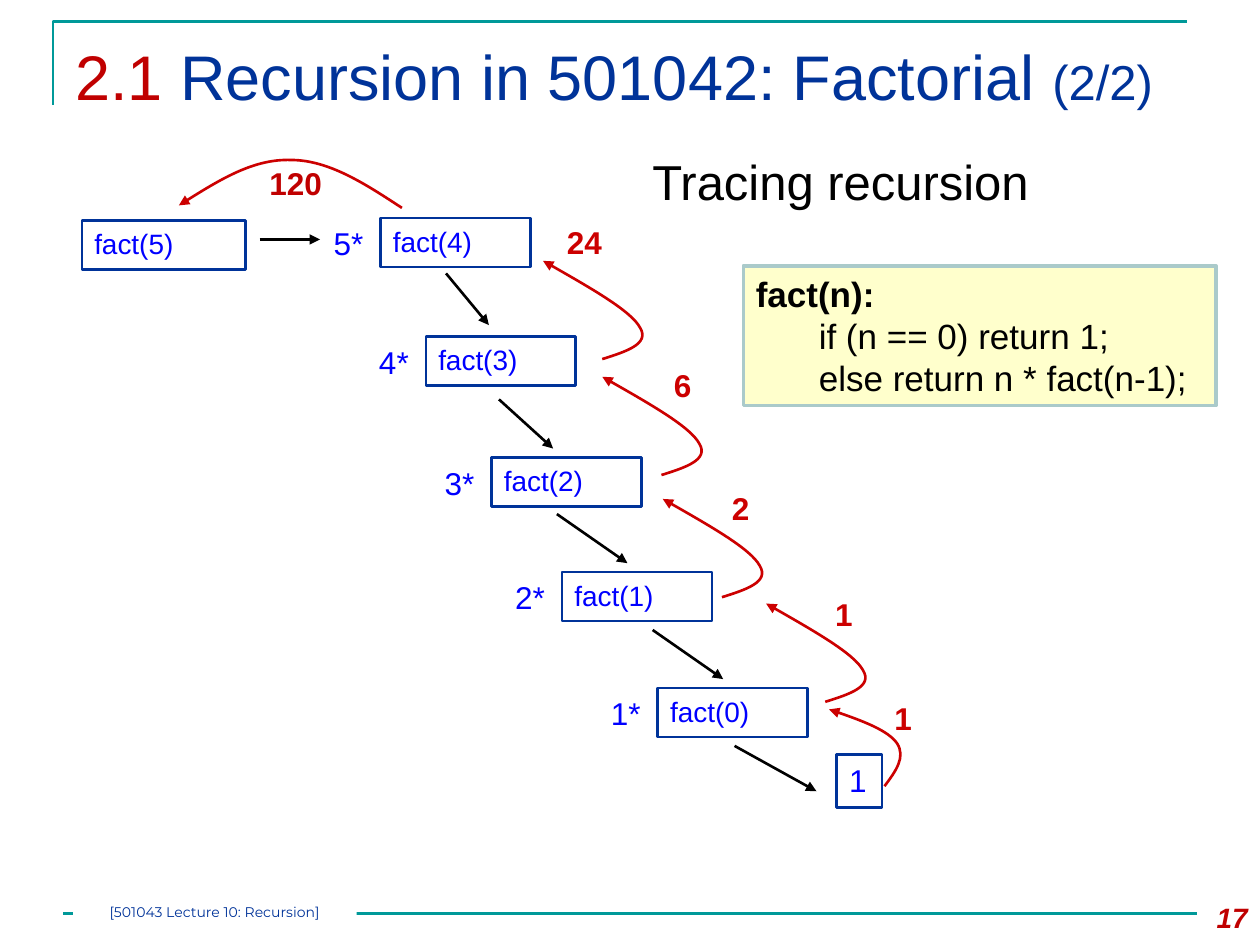
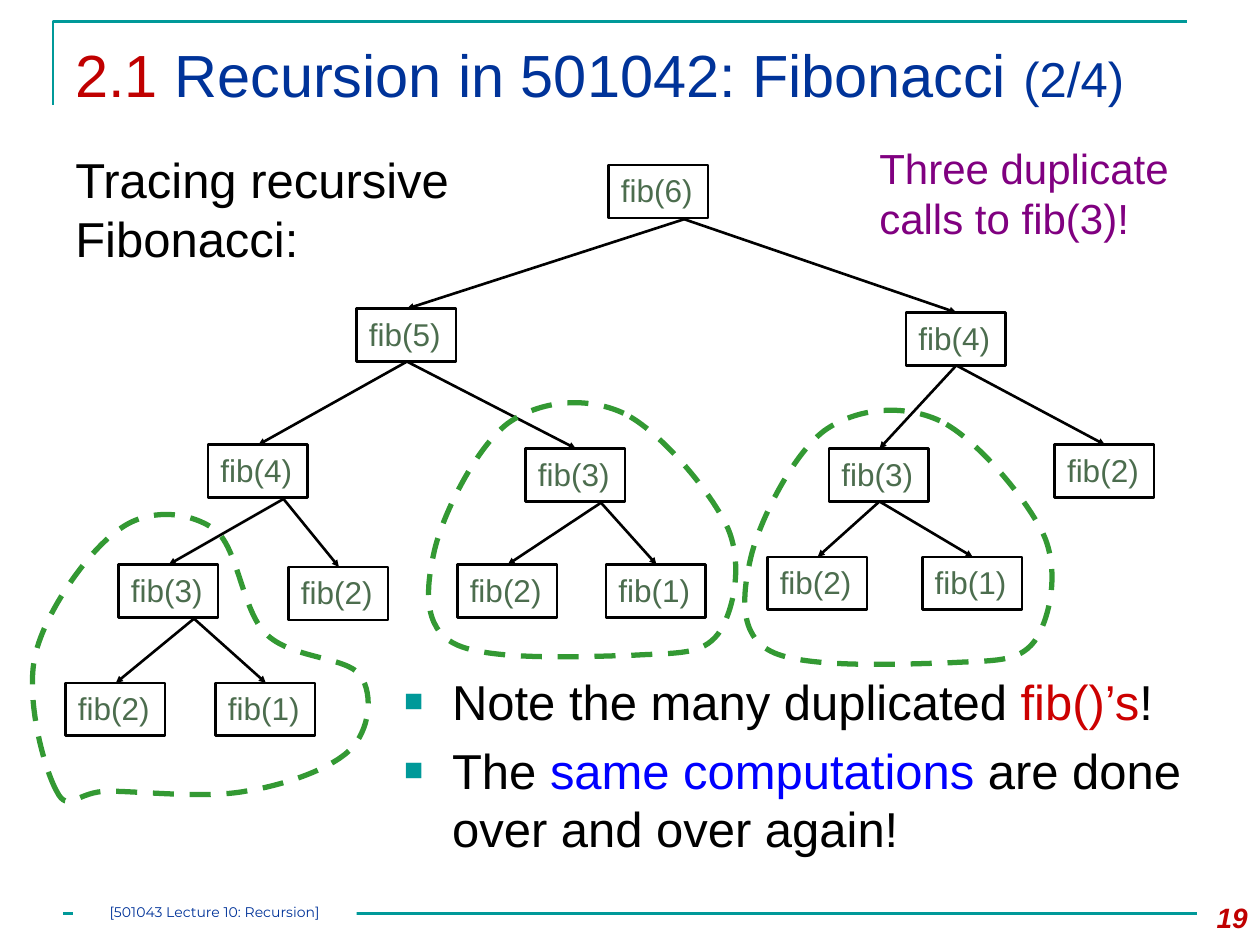
from lxml import etree
from pptx import Presentation
from pptx.dml.color import RGBColor
from pptx.enum.dml import MSO_LINE
from pptx.enum.shapes import MSO_CONNECTOR, MSO_SHAPE
from pptx.enum.text import MSO_AUTO_SIZE, PP_ALIGN
from pptx.oxml.ns import qn
from pptx.util import Pt

RECTANGLE = MSO_SHAPE.RECTANGLE
STRAIGHT = MSO_CONNECTOR.STRAIGHT
DASH = MSO_LINE.DASH
GROW = MSO_AUTO_SIZE.SHAPE_TO_FIT_TEXT
LEFT, CENTER, RIGHT = PP_ALIGN.LEFT, PP_ALIGN.CENTER, PP_ALIGN.RIGHT

EMU_PER_PX = 9144
FONT, FOOTER_FONT = "Arial", "Montserrat"
TEAL, NAVY, DARK_RED, RED = "009999", "003399", "C00000", "CC0000"
BLACK, WHITE, BLUE, PURPLE = "000000", "FFFFFF", "0000FF", "800080"
MOSS, GREEN, CREAM, PALE_TEAL = "4C6D4E", "339933", "FFFFCC", "AACACA"
FOOTER = "[501043 Lecture 10: Recursion]"

FACT_WIDTH, FACT_HEIGHT = 119, 39
FIB_WIDTH, FIB_HEIGHT = 79, 42

FACT_CALLS = [
    ("fact(4)", "5*", 302, 173, (206, 190), (254, 190)),
    ("fact(3)", "4*", 338, 267, (354, 217), (388, 258)),
    ("fact(2)", "3*", 390, 363, (396, 317), (439, 356)),
    ("fact(1)", "2*", 446, 454, (442, 408), (498, 447)),
    ("fact(0)", "1*", 522, 546, (518, 500), (574, 539)),
]
RETURN_CURVE = [(47, 78), (66, 72), (85, 66), (77, 53), (70, 40), (35, 20), (0, 0)]
RETURNS = [
    ("24", 431, 207, (440, 172, 48, 40)),
    ("6", 478, 299, (525, 286, 34, 40)),
    ("2", 526, 396, (571, 383, 34, 40)),
    ("1", 608, 479, (653, 467, 34, 40)),
]
BASE_RETURN = [(702, 624), (711, 612), (719, 601), (712, 590),
               (705, 580), (682, 571), (658, 563)]
FINAL_RETURN = [(319, 165), (290, 146), (261, 127), (231, 127),
                (202, 126), (172, 144), (142, 163)]

FIB_TREE = (6, 483, 131, 20, [
    (5, 283, 245, 0, [
        (4, 165, 353, 20, [
            (3, 94, 448, 20, [(2, 52, 542, 0, []), (1, 171, 542, 0, [])]),
            (2, 229, 450, 0, []),
        ]),
        (3, 417, 356, 20, [(2, 363, 448, 0, []), (1, 481, 448, 0, [])]),
    ]),
    (4, 719, 248, 0, [
        (3, 658, 356, 0, [(2, 609, 442, 0, []), (1, 732, 442, 0, [])]),
        (2, 837, 353, 0, []),
    ]),
])
LEFT_LOOP = [
    (45, 628), (35, 610), (20, 555), (28, 520), (36, 485), (71, 436), (95, 420),
    (118, 403), (150, 406), (170, 420), (189, 434), (192, 484), (211, 503),
    (231, 523), (275, 521), (286, 536), (297, 552), (293, 580), (278, 595),
    (263, 610), (227, 623), (195, 628), (163, 634), (111, 628), (86, 628),
    (61, 628), (54, 646), (45, 628),
]
RIGHT_LOOP = [
    (160, 14), (130, 0), (93, 4), (68, 22), (43, 41), (17, 93), (10, 122),
    (3, 152), (0, 184), (26, 197), (53, 211), (133, 207), (168, 206),
    (203, 204), (222, 206), (235, 189), (247, 172), (255, 135), (243, 106),
    (230, 77), (189, 28), (160, 14),
]
RIGHT_LOOP_ORIGINS = [(335, 314), (586, 320)]


def rgb(code):
    """Turn a hex string into a colour."""
    return RGBColor.from_string(code)


def px(*lengths):
    """Turn pixel lengths into EMU."""
    return [length * EMU_PER_PX for length in lengths]


def moved(points, x, y):
    """Shift points by an offset."""
    return [(x + dx, y + dy) for dx, dy in points]


class Deck:
    """Hold the lecture style and the slide being drawn."""

    def __init__(self):
        """Start an empty presentation."""
        self.presentation = Presentation()
        self.presentation.slide_width, self.presentation.slide_height = px(1000, 750)
        self.shapes = None

    def new_slide(self, title_runs, number, title_height):
        """Add a slide with frame, footer, title and page number."""
        blank = self.presentation.slide_layouts[6]
        self.shapes = self.presentation.slides.add_slide(blank).shapes
        self.outline([(42, 83), (42, 17), (942, 17)], TEAL)
        self.line((50, 725), (950, 725), TEAL)
        footer = self.box((58, 717, 225, 17), fill=WHITE)
        footer.text_frame.margin_left = footer.text_frame.margin_right = 0
        footer.text_frame.margin_top = footer.text_frame.margin_bottom = 0
        self.put_text(footer, [[(FOOTER, NAVY)]], 8, CENTER, font=FOOTER_FONT)
        self.text((50, 25, 933, title_height), [title_runs], 36)
        page = self.text((933, 710, 67, 40), [[(number, DARK_RED)]], 16, RIGHT, bold=True)
        page.text_frame.paragraphs[0].runs[0].font.italic = True

    def put_text(self, shape, paragraphs, size, align=LEFT, bold=False, font=FONT):
        """Fill a shape with paragraphs of (text, colour[, size]) runs."""
        frame = shape.text_frame
        for index, runs in enumerate(paragraphs):
            paragraph = frame.add_paragraph() if index else frame.paragraphs[0]
            paragraph.alignment = align
            for words, color, *own_size in runs:
                run = paragraph.add_run()
                run.text = words
                run.font.name = font
                run.font.size = Pt(own_size[0] if own_size else size)
                run.font.bold = bold
                run.font.color.rgb = rgb(color)
        return shape

    def text(self, place, paragraphs, size, align=LEFT, bold=False, wrap=True):
        """Add a text box."""
        label = self.shapes.add_textbox(*px(*place))
        label.text_frame.word_wrap = wrap
        if not wrap:
            label.text_frame.auto_size = GROW
        return self.put_text(label, paragraphs, size, align, bold)

    def box(self, place, line=None, fill=None, width=1.5, wrap=True):
        """Add a rectangle whose text starts at the top left."""
        rectangle = self.shapes.add_shape(RECTANGLE, *px(*place))
        self.paint(rectangle, line, fill, width)
        rectangle.text_frame.word_wrap = wrap
        rectangle.text_frame.vertical_anchor = None
        if not wrap:
            rectangle.text_frame.auto_size = GROW
        return rectangle

    def paint(self, shape, line, fill=None, width=1.5):
        """Set the fill and line of a shape and drop its shadow."""
        shape.shadow.inherit = False
        if fill:
            shape.fill.solid()
            shape.fill.fore_color.rgb = rgb(fill)
        else:
            shape.fill.background()
        if line:
            shape.line.color.rgb = rgb(line)
            shape.line.width = Pt(width)
        else:
            shape.line.fill.background()

    def arrowhead(self, shape, size):
        """Put a triangle at the end of a line."""
        outline = shape.element.spPr.find(qn("a:ln"))
        etree.SubElement(outline, qn("a:tailEnd"), type="triangle", w=size, len=size)

    def line(self, start, end, color=BLACK, head=None):
        """Add a straight line, with an arrowhead if a head size is given."""
        connector = self.shapes.add_connector(STRAIGHT, *px(*start, *end))
        connector.line.color.rgb = rgb(color)
        connector.line.width = Pt(1.5)
        etree.SubElement(connector.element.spPr, qn("a:effectLst"))
        if head:
            self.arrowhead(connector, head)

    def outline(self, points, color, width=1.5, closed=False):
        """Add an unfilled outline through the points."""
        builder = self.shapes.build_freeform(*points[0], scale=EMU_PER_PX)
        builder.add_line_segments(points[1:], close=closed)
        outline = builder.convert_to_shape()
        self.paint(outline, color, width=width)
        return outline

    def curve(self, points, color, width=1.5, closed=False):
        """Add an outline of cubic curves, three points to each curve."""
        curve = self.outline(points, color, width, closed)
        steps = list(curve.element.iter(qn("a:lnTo")))
        for first in range(0, len(points) - 1, 3):
            bend, *others = steps[first:first + 3]
            bend.tag = qn("a:cubicBezTo")
            for other in others:
                bend.append(other[0])
                other.getparent().remove(other)
        return curve

    def return_arrow(self, points, value, place, color=RED):
        """Add a curved arrow with the value it returns."""
        self.arrowhead(self.curve(points, RED), "med")
        self.text(place, [[(value, color)]], 18, bold=True, wrap=False)

    def loop(self, points):
        """Add a dashed loop around a repeated subtree."""
        self.curve(points, GREEN, 3, closed=True).line.dash_style = DASH

    def fact_box(self, call, x, y, width=FACT_WIDTH):
        """Add one factorial call."""
        place = (x, y, width, FACT_HEIGHT)
        self.put_text(self.box(place, NAVY), [[(call, BLUE)]], 16)

    def fib_node(self, node):
        """Add a Fibonacci call and, below it, the calls it makes."""
        n, x, y, shift, calls = node
        place = (x, y, FIB_WIDTH, FIB_HEIGHT)
        self.put_text(self.box(place, BLACK, wrap=False), [[(f"fib({n})", MOSS)]], 18)
        start = (x + FIB_WIDTH // 2 + 1 + shift, y + FIB_HEIGHT + shift // 20)
        for call in calls:
            self.line(start, (call[1] + FIB_WIDTH // 2 + 1, call[2]), head="sm")
            self.fib_node(call)

    def bullets(self, place, items, size):
        """Add a list with square bullets."""
        notes = self.text(place, items, size)
        for index, paragraph in enumerate(notes.text_frame.paragraphs):
            if index:
                paragraph.space_before = Pt(size * 0.2)
            properties = paragraph._p.get_or_add_pPr()
            indent = px(38)[0]
            properties.set("marL", str(indent))
            properties.set("indent", str(-indent))
            color = etree.SubElement(properties, qn("a:buClr"))
            etree.SubElement(color, qn("a:srgbClr"), val=TEAL)
            etree.SubElement(properties, qn("a:buSzPct"), val="65000")
            etree.SubElement(properties, qn("a:buFont"), typeface=FONT)
            etree.SubElement(properties, qn("a:buChar"), char="■")


def factorial_slide(deck):
    """Trace the calls and returns of fact(5)."""
    deck.new_slide([("2.1 ", DARK_RED), ("Recursion in 501042: Factorial ", NAVY),
                    ("(2/2)", NAVY, 28)], "17", 86)
    code = deck.box((590, 211, 375, 111), PALE_TEAL, CREAM, 2)
    deck.put_text(code, [[("fact(n):", BLACK)], [("if (n == 0) return 1;", BLACK)],
                         [("else return n * fact(n-1);", BLACK)]], 20)
    signature, *body = code.text_frame.paragraphs
    signature.runs[0].font.bold = True
    for statement in body:
        statement._p.get_or_add_pPr().set("marL", str(px(50)[0]))

    deck.fact_box("fact(5)", 65, 175, 130)
    for call, factor, x, y, start, end in FACT_CALLS:
        deck.fact_box(call, x, y)
        deck.text((x - 47, y, 44, 40), [[(factor, BLUE)]], 18, wrap=False)
        deck.line(start, end, head="med")
    base_case = deck.box((664, 599, 36, 42), NAVY, WHITE, wrap=False)
    deck.put_text(base_case, [[("1", BLUE)]], 18)
    deck.line((583, 592), (648, 628), head="med")

    deck.return_arrow(BASE_RETURN, "1", (700, 550, 34, 40))
    for value, x, y, place in RETURNS:
        deck.return_arrow(moved(RETURN_CURVE, x, y), value, place)
    deck.return_arrow(FINAL_RETURN, "120", (204, 125, 62, 40), DARK_RED)
    deck.text((508, 115, 350, 57), [[("Tracing recursion", BLACK)]], 28)


def fibonacci_slide(deck):
    """Show the call tree of fib(6) and its repeated parts."""
    deck.new_slide([("2.1 ", DARK_RED, 34), ("Recursion in 501042: Fibonacci ", NAVY, 34),
                    ("(2/4)", NAVY, 28)], "19", 75)
    deck.text((50, 114, 350, 104), [[("Tracing recursive Fibonacci:", BLACK)]], 28)
    deck.bullets((311, 528, 642, 167), [
        [("Note the many duplicated ", BLACK), ("fib()’s", RED), ("!", BLACK)],
        [("The ", BLACK), ("same computations ", BLUE),
         ("are done over and over again!", BLACK)],
    ], 28)
    deck.fib_node(FIB_TREE)
    deck.loop(LEFT_LOOP)
    for x, y in RIGHT_LOOP_ORIGINS:
        deck.loop(moved(RIGHT_LOOP, x, y))
    deck.text((688, 108, 262, 91), [[("Three duplicate", PURPLE)],
                                    [("calls to fib(3)!", PURPLE)]], 24, wrap=False)


def main():
    """Build and save the slides."""
    deck = Deck()
    factorial_slide(deck)
    fibonacci_slide(deck)
    deck.presentation.save("out.pptx")


if __name__ == "__main__":
    main()
